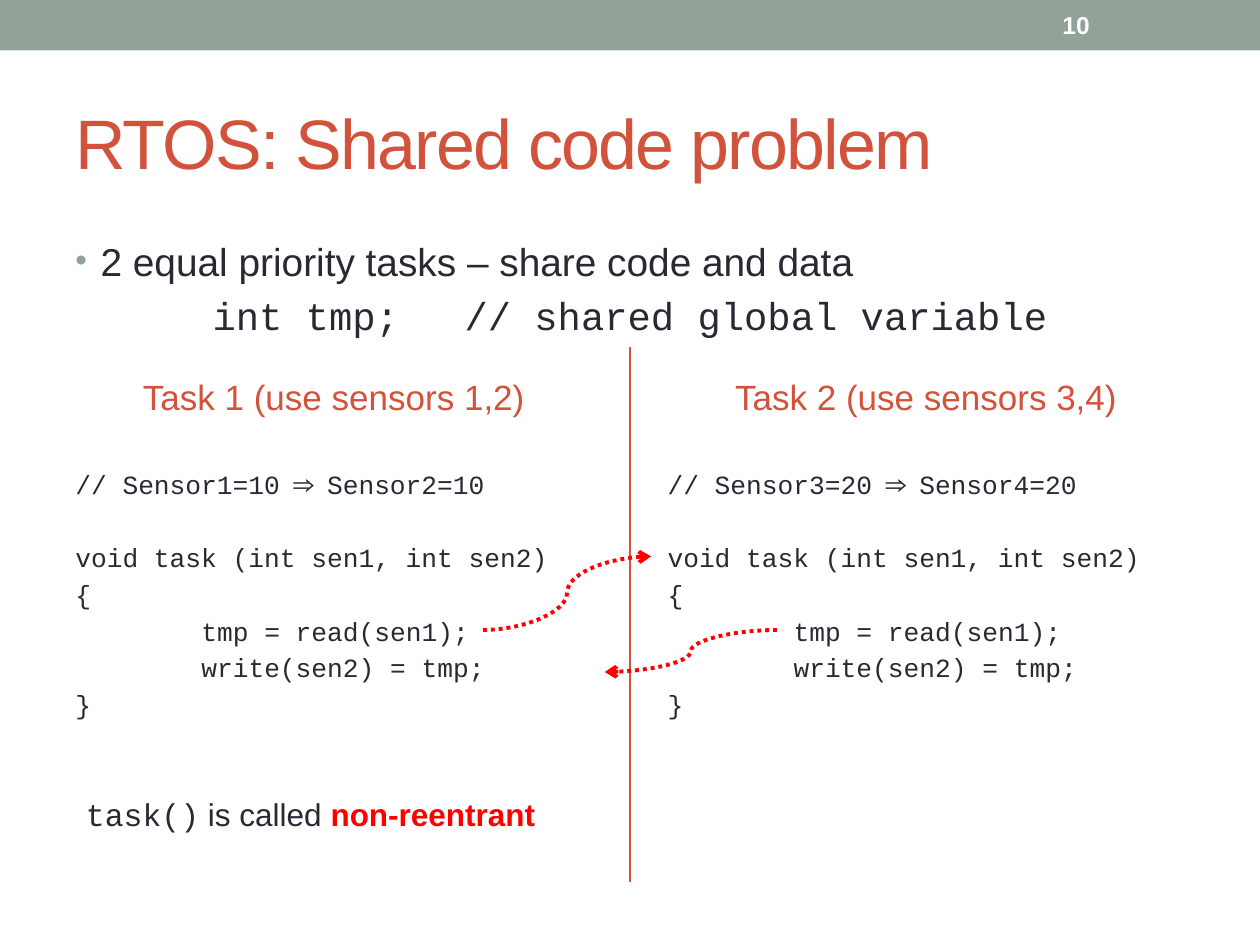
from lxml import etree
from pptx import Presentation
from pptx.dml.color import RGBColor
from pptx.enum.dml import MSO_LINE
from pptx.enum.shapes import MSO_CONNECTOR, MSO_SHAPE
from pptx.enum.text import MSO_ANCHOR, PP_ALIGN
from pptx.oxml.ns import qn
from pptx.util import Pt

SAGE = RGBColor(0x93, 0xA2, 0x99)
RUST = RGBColor(0xD2, 0x53, 0x3C)
INK = RGBColor(0x29, 0x29, 0x34)
RED = RGBColor(0xFF, 0x00, 0x00)
WHITE = RGBColor(0xFF, 0xFF, 0xFF)
SANS, MONO = "Arial", "Courier New"
STRAIGHT, CURVE = MSO_CONNECTOR.STRAIGHT, MSO_CONNECTOR.CURVE
DOTTED = MSO_LINE.ROUND_DOT
TOP, MIDDLE = MSO_ANCHOR.TOP, MSO_ANCHOR.MIDDLE
CENTER = PP_ALIGN.CENTER
RECTANGLE = MSO_SHAPE.RECTANGLE

FUNCTION_LINES = [
    "void task (int sen1, int sen2)",
    "{",
    "\ttmp = read(sen1);",
    "\twrite(sen2) = tmp;",
    "}",
]


def add_xml(parent, tag, **attributes):
    return etree.SubElement(parent, qn(tag), attributes)


class SlideBuilder:
    def __init__(self, page):
        self.page = page
        self.base = {"name": SANS, "size": Pt(18), "color": INK}

    def bar(self, left, top, width, height, color):
        shape = self.page.shapes.add_shape(
            RECTANGLE, Pt(left), Pt(top), Pt(width), Pt(height))
        shape.shadow.inherit = False
        shape.fill.solid()
        shape.fill.fore_color.rgb = color
        shape.line.fill.background()

    def text_box(self, left, top, width, height, anchor=TOP, wrap=True):
        box = self.page.shapes.add_textbox(Pt(left), Pt(top), Pt(width), Pt(height))
        box.text_frame.word_wrap = wrap
        box.text_frame.vertical_anchor = anchor
        return box.text_frame

    def paragraph(self, frame, *spans, **layout):
        """Add a paragraph of (text, font values) spans; layout sets its spacing."""
        first = frame.paragraphs[0]
        para = first if not first.runs else frame.add_paragraph()
        for name, value in layout.items():
            setattr(para, name, value)
        for text, values in spans:
            span = para.add_run()
            span.text = text
            for name, value in {**self.base, **values}.items():
                if name == "color":
                    span.font.color.rgb = value
                else:
                    setattr(span.font, name, value)
        return para

    def bullet(self, para, color):
        properties = para._p.get_or_add_pPr()
        properties.set("marL", str(Pt(14.4)))
        properties.set("indent", str(-Pt(14.4)))
        add_xml(add_xml(properties, "a:buClr"), "a:srgbClr", val=str(color))
        add_xml(properties, "a:buSzPct", val="85000")
        add_xml(properties, "a:buFont", typeface=SANS)
        add_xml(properties, "a:buChar", char="•")

    def tab_stop(self, para, position):
        stops = add_xml(para._p.get_or_add_pPr(), "a:tabLst")
        add_xml(stops, "a:tab", pos=str(Pt(position)), algn="l")

    def line(self, kind, start, end, color, width, dash=None, arrow=False):
        connector = self.page.shapes.add_connector(kind, *map(Pt, start + end))
        connector.line.color.rgb = color
        connector.line.width = Pt(width)
        if dash:
            connector.line.dash_style = dash
        if arrow:
            add_xml(connector.line._get_or_add_ln(), "a:tailEnd", type="arrow")
        add_xml(connector._element.spPr, "a:effectLst")

    def task(self, left, heading, comment):
        """Add one task column: a heading and its code listing."""
        frame = self.text_box(left, 201.6, 309.6, 50.4, MIDDLE)
        self.paragraph(frame, (heading, {"size": Pt(20), "color": RUST}),
                       alignment=CENTER, space_before=Pt(4))
        code = self.text_box(left, 264.24, 309.6, 239)
        gaps = {comment: 4, FUNCTION_LINES[0]: 23.5}
        for text in [comment] + FUNCTION_LINES:
            para = self.paragraph(code, (text, {"name": MONO, "size": Pt(15)}),
                                  space_before=Pt(gaps.get(text, 3)))
            self.tab_stop(para, 72)


def main():
    deck = Presentation()
    deck.slide_width, deck.slide_height = Pt(720), Pt(540)
    slide = SlideBuilder(deck.slides.add_slide(deck.slide_layouts[6]))

    slide.bar(0, 0, 720, 28.8, SAGE)
    slide.line(STRAIGHT, (360, 198), (360, 504), RUST, 1.5)

    number = slide.text_box(600, 1.44, 84, 25.92, MIDDLE)
    slide.paragraph(number, ("10", {"size": Pt(14), "color": WHITE, "bold": True}))

    title = slide.text_box(36, 42, 648, 78, MIDDLE)
    para = slide.paragraph(
        title, ("RTOS: Shared code problem", {"size": Pt(40), "color": RUST}))
    para.runs[0].font._element.set("spc", "-100")

    intro = slide.text_box(36, 132, 648, 60)
    large = {"size": Pt(22.2)}
    para = slide.paragraph(
        intro, ("2 equal priority tasks – share code and data", large),
        space_before=Pt(5))
    slide.bullet(para, SAGE)
    para = slide.paragraph(
        intro, ("int tmp;\t// shared global variable", {**large, "name": MONO}),
        alignment=CENTER, space_before=Pt(4.7))
    slide.tab_stop(para, 144)

    slide.task(36, "Task 1 (use sensors 1,2)", "// Sensor1=10 ⇒ Sensor2=10")
    slide.task(374.4, "Task 2 (use sensors 3,4)", "// Sensor3=20 ⇒ Sensor4=20")

    for start, end in (((276, 360), (372, 318)), ((444, 360), (345.6, 384))):
        slide.line(CURVE, start, end, RED, 2.25, DOTTED, arrow=True)

    verdict = slide.text_box(42, 450.72, 273.6, 28.8, wrap=False)
    slide.paragraph(verdict, ("task()", {"name": MONO}), (" is called ", {}),
                    ("non-reentrant", {"color": RED, "bold": True}))

    deck.save("out.pptx")


if __name__ == "__main__":
    main()
